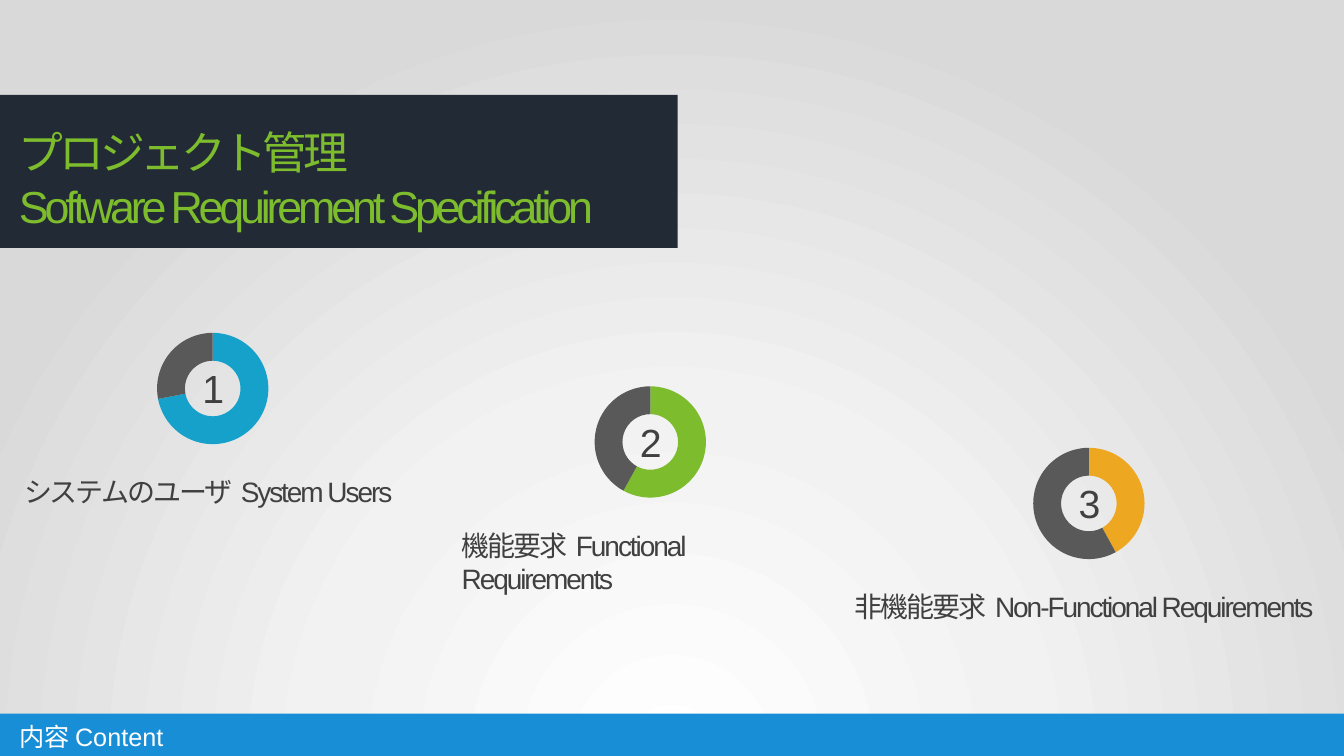
import pptx
import pptx.chart.data
import pptx.dml.color
import pptx.enum.chart
import pptx.enum.shapes
import pptx.enum.text
import pptx.oxml
import pptx.oxml.ns
import pptx.util

Inches = pptx.util.Inches
Align = pptx.enum.text.PP_ALIGN
Anchor = pptx.enum.text.MSO_ANCHOR

WIDTH, HEIGHT = 13.33, 7.5
COLOURS = {
    "navy": "222A35", "footer": "188ED6", "white": "FFFFFF", "black": "000000",
    "text": "404040", "rest": "595959",
    "blue": "16A1CA", "green": "7DBC2D", "orange": "EEA720",
}
BACKDROP_STOPS = [(0, "FFFFFF"), (46, "F2F2F2"), (100, "D9D9D9")]

# Ring left and top, share in percent, colour, caption left and width, caption
TOPICS = [
    (1.42, 3.06, 72, "blue", 0.14, 3.94, "システムのユーザ  System Users"),
    (5.76, 3.59, 58, "green", 4.48, 3.95, "機能要求  Functional Requirements"),
    (10.11, 4.2, 42, "orange", 8.38, 4.84, "非機能要求  Non-Functional Requirements"),
]


def colour(name):
    return pptx.dml.color.RGBColor.from_string(COLOURS[name])


def add_text(page, box, lines, *, size, tint, spacing=0, align=Align.LEFT,
             anchor=Anchor.TOP):
    frame = page.shapes.add_textbox(*map(Inches, box)).text_frame
    frame.word_wrap = True
    frame.auto_size = pptx.enum.text.MSO_AUTO_SIZE.SHAPE_TO_FIT_TEXT
    frame.vertical_anchor = anchor
    for index, line in enumerate(lines):
        para = frame.add_paragraph() if index else frame.paragraphs[0]
        para.alignment = align
        span = para.add_run()
        span.text = line
        span.font.name = "Arial"
        span.font.size = pptx.util.Pt(size)
        span.font.color.rgb = colour(tint)
        if spacing:
            span._r.get_or_add_rPr().set("spc", str(round(spacing * 100)))


def add_band(page, box, tint):
    band = page.shapes.add_shape(
        pptx.enum.shapes.MSO_SHAPE.RECTANGLE, *map(Inches, box))
    band.shadow.inherit = False
    band.fill.solid()
    band.fill.fore_color.rgb = colour(tint)
    band.line.fill.background()


def add_backdrop(page):
    """Radial gradient centred below the slide's lower edge."""
    page.background.fill.solid()
    stops = "".join(
        f'<a:gs pos="{place * 1000}"><a:srgbClr val="{tint}"/></a:gs>'
        for place, tint in BACKDROP_STOPS)
    gradient = pptx.oxml.parse_xml(
        f'<a:gradFill {pptx.oxml.ns.nsdecls("a")} rotWithShape="1">'
        f'<a:gsLst>{stops}</a:gsLst><a:path path="circle">'
        '<a:fillToRect l="50000" t="130000" r="50000" b="-30000"/>'
        '</a:path></a:gradFill>')
    solid = page._element.xpath("./p:cSld/p:bg/p:bgPr/a:solidFill")[0]
    solid.getparent().replace(solid, gradient)


def add_title(page, box):
    left, top, width, height = box
    add_band(page, box, "navy")
    add_text(page, (left + 0.09, top + 0.25, width - 0.09, 1.18),
             ["プロジェクト管理", "Software Requirement Specification"],
             size=32, tint="green", spacing=-3)


def add_ring(page, box, share, tint):
    data = pptx.chart.data.CategoryChartData()
    data.categories = ["1", "2"]
    data.add_series("Series 1", (share, 100 - share))
    chart = page.shapes.add_chart(
        pptx.enum.chart.XL_CHART_TYPE.DOUGHNUT, *map(Inches, box), data).chart
    chart.has_title = False
    chart.has_legend = False
    chart.font.name = "Calibri"
    chart.font.size = pptx.util.Pt(10)
    chart.font.color.rgb = colour("black")
    plot = chart.plots[0]
    plot.vary_by_categories = True
    for index, name in enumerate((tint, "rest")):
        fill = plot.series[0].points[index].format.fill
        fill.solid()
        fill.fore_color.rgb = colour(name)
    chart._chartSpace.xpath(".//c:holeSize")[0].set("val", "75")


def add_topic(page, number, topic):
    left, top, share, tint, caption_left, caption_width, caption = topic
    add_ring(page, (left, top, 1.38, 1.59), share, tint)
    add_text(page, (left + 0.23, top + 0.51, 0.93, 0.57), [str(number)],
             size=28, tint="text", spacing=-1.5, align=Align.CENTER)
    add_text(page, (caption_left, top + 1.6, caption_width, 0.44), [caption],
             size=20, tint="text", spacing=-1.5)


def add_footer(page, box):
    left, top, width, height = box
    add_band(page, box, "footer")
    add_text(page, (left + 0.09, top + 0.03, 4.75, 0.4), ["内容 Content"],
             size=18, tint="white", anchor=Anchor.MIDDLE)


def main():
    deck = pptx.Presentation()
    deck.slide_width, deck.slide_height = Inches(WIDTH), Inches(HEIGHT)
    page = deck.slides.add_slide(deck.slide_layouts[6])
    add_backdrop(page)
    add_title(page, (0, 0.94, 6.72, 1.52))
    for number, topic in enumerate(TOPICS, 1):
        add_topic(page, number, topic)
    add_footer(page, (0, 7.08, WIDTH, HEIGHT - 7.08))
    deck.save("out.pptx")


if __name__ == "__main__":
    main()
